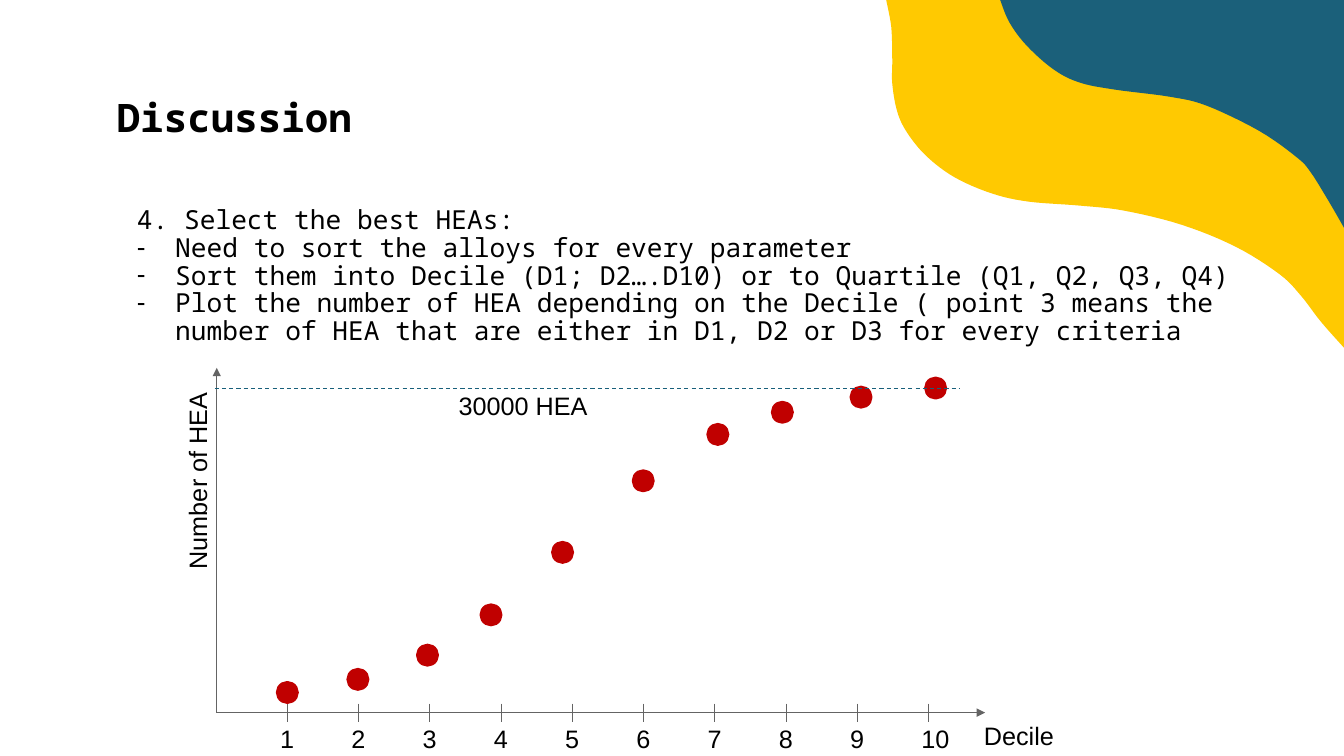
from dataclasses import dataclass

from lxml import etree
from pptx import Presentation
from pptx.dml.color import RGBColor
from pptx.enum.dml import MSO_LINE
from pptx.enum.shapes import MSO_CONNECTOR, MSO_SHAPE
from pptx.enum.text import MSO_ANCHOR, MSO_AUTO_SIZE, PP_ALIGN
from pptx.oxml.ns import qn
from pptx.util import Pt

PIXEL = 9144  # EMU, 100 px to the inch
TITLE_ONLY_LAYOUT = 5
STRAIGHT = MSO_CONNECTOR.STRAIGHT
OVAL = MSO_SHAPE.OVAL
DASH = MSO_LINE.DASH
MIDDLE, TOP = MSO_ANCHOR.MIDDLE, MSO_ANCHOR.TOP
LEFT = PP_ALIGN.LEFT
FIXED_SIZE = MSO_AUTO_SIZE.NONE


@dataclass(frozen=True)
class Theme:
    yellow: str = "FFC901"
    blue: str = "1B607A"
    limit: str = "185F7A"
    axis: str = "646464"
    dot: str = "C00000"
    text: str = "000000"
    text_font: str = "Noto Sans Mono"
    label_font: str = "Arial"
    title_size: float = 28
    body_size: float = 18.7
    label_size: float = 18
    line_width: float = 0.75
    dot_line_width: float = 2


THEME = Theme()
SLIDE_WIDTH, SLIDE_HEIGHT = 1333, 750

YELLOW_EDGE = [
    (879, 0), (884, 27), (885, 59), (885, 83), (890, 111), (900, 132),
    (919, 155), (947, 176), (984, 192), (1020, 200), (1071, 204),
    (1115, 209), (1172, 223), (1226, 245), (1269, 272), (1290, 293),
    (1310, 319), (1333, 345),
]
BLUE_EDGE = [
    (992, 0), (1001, 22), (1018, 45), (1045, 69), (1071, 82), (1106, 89),
    (1160, 96), (1197, 105), (1249, 130), (1286, 156), (1300, 171),
    (1318, 200), (1333, 226),
]

HEADING = "4. Select the best HEAs:"
STEPS = [
    "Need to sort the alloys for every parameter",
    "Sort them into Decile (D1; D2….D10) or to Quartile (Q1, Q2, Q3, Q4)",
    "Plot the number of HEA depending on the Decile ( point 3 means the "
    "number of HEA that are either in D1, D2 or D3 for every criteria",
]

ORIGIN_X, ORIGIN_Y = 215, 707
FIRST_TICK, LAST_TICK = 285, 921
TICK_HALF = 9
DOT_SIZE = 20
DOT_CORNERS = [
    (275, 677), (345, 664), (414, 640), (477, 600), (548, 538),
    (628, 467), (702, 421), (766, 399), (844, 384), (918, 375),
]


def px(*lengths):
    return [round(length * PIXEL) for length in lengths]


def color(name):
    return RGBColor.from_string(name)


def smooth_curve(points, steps=6):
    """Sample a Catmull-Rom curve that passes through all the points."""
    padded = [points[0], *points, points[-1]]
    curve = [points[0]]
    for a, b, c, d in zip(padded, padded[1:], padded[2:], padded[3:]):
        for step in range(1, steps + 1):
            t = step / steps
            curve.append(tuple(
                (2 * q + (r - p) * t + (2 * p - 5 * q + 4 * r - s) * t ** 2
                 + (3 * q - p - 3 * r + s) * t ** 3) / 2
                for p, q, r, s in zip(a, b, c, d)))
    return curve


def add_wave(slide, edge, fill):
    """Fill the top right corner of the slide up to a curved edge."""
    start, *rest = [px(*point) for point in smooth_curve(edge)]
    builder = slide.shapes.build_freeform(*start, scale=1.0)
    builder.add_line_segments([*rest, px(SLIDE_WIDTH, 0)], close=True)
    wave = builder.convert_to_shape()
    wave.shadow.inherit = False
    wave.fill.solid()
    wave.fill.fore_color.rgb = color(fill)
    wave.line.fill.background()


def add_line(slide, start, end, line_color, arrow=False, dash=None):
    connector = slide.shapes.add_connector(STRAIGHT, *px(*start, *end))
    connector.line.color.rgb = color(line_color)
    connector.line.width = Pt(THEME.line_width)
    if dash is not None:
        connector.line.dash_style = dash
    if arrow:
        line = connector.line._get_or_add_ln()
        etree.SubElement(line, qn("a:tailEnd"), type="triangle")
    etree.SubElement(connector._element.spPr, qn("a:effectLst"))


def add_dot(slide, left, top):
    dot = slide.shapes.add_shape(OVAL, *px(left, top, DOT_SIZE, DOT_SIZE))
    dot.shadow.inherit = False
    dot.fill.solid()
    dot.fill.fore_color.rgb = color(THEME.dot)
    dot.line.color.rgb = color(THEME.dot)
    dot.line.width = Pt(THEME.dot_line_width)


def format_runs(paragraph, font, size, bold=False):
    for run in paragraph.runs:
        run.font.name = font
        run.font.size = Pt(size)
        run.font.bold = bold
        run.font.color.rgb = color(THEME.text)


def set_frame(text_frame, anchor, margin_x, margin_y):
    text_frame.word_wrap = True
    text_frame.auto_size = FIXED_SIZE
    text_frame.vertical_anchor = anchor
    text_frame.margin_left, text_frame.margin_right = px(margin_x, margin_x)
    text_frame.margin_top, text_frame.margin_bottom = px(margin_y, margin_y)


def add_label(slide, text, left, top, width, rotation=0):
    label = slide.shapes.add_textbox(*px(left, top, width, 40))
    label.rotation = rotation
    set_frame(label.text_frame, TOP, 10, 5)
    label.text_frame.text = text
    format_runs(label.text_frame.paragraphs[0], THEME.label_font, THEME.label_size)


def set_title(slide, text):
    title = slide.shapes.title
    title.left, title.top, title.width, title.height = px(106, 79, 1123, 73)
    set_frame(title.text_frame, MIDDLE, 10, 10)
    title.text_frame.text = text
    paragraph = title.text_frame.paragraphs[0]
    paragraph.alignment = LEFT
    format_runs(paragraph, THEME.text_font, THEME.title_size, bold=True)


def set_indent(paragraph, margin, indent):
    properties = paragraph._p.get_or_add_pPr()
    margin, indent = px(margin, indent)
    properties.set("marL", str(margin))
    properties.set("indent", str(indent))
    return properties


def add_bullet(paragraph):
    properties = set_indent(paragraph, 58, -38)
    bullet_color = etree.SubElement(properties, qn("a:buClr"))
    etree.SubElement(bullet_color, qn("a:srgbClr"), val=THEME.text)
    etree.SubElement(properties, qn("a:buFont"), typeface=THEME.label_font)
    etree.SubElement(properties, qn("a:buChar"), char="-")


def add_steps(slide):
    body = slide.shapes.add_textbox(*px(106, 196, 1123, 56))
    set_frame(body.text_frame, TOP, 10, 10)
    body.text_frame.text = "\n".join([HEADING, *STEPS])
    heading, *steps = body.text_frame.paragraphs
    for paragraph in (heading, *steps):
        paragraph.line_spacing = 0.88
        format_runs(paragraph, THEME.text_font, THEME.body_size)
    set_indent(heading, 20, 0)
    for paragraph in steps:
        add_bullet(paragraph)


def add_plot(slide):
    origin = (ORIGIN_X, ORIGIN_Y)
    add_line(slide, origin, (ORIGIN_X, 365), THEME.axis, arrow=True)
    add_line(slide, origin, (977, ORIGIN_Y), THEME.axis, arrow=True)
    tick_gap = (LAST_TICK - FIRST_TICK) / (len(DOT_CORNERS) - 1)
    for index, corner in enumerate(DOT_CORNERS):
        tick = FIRST_TICK + index * tick_gap
        add_line(slide, (tick, ORIGIN_Y - TICK_HALF),
                 (tick, ORIGIN_Y + TICK_HALF), THEME.axis)
        decile = str(index + 1)
        add_label(slide, decile, tick - 17, 713, 22 if len(decile) == 1 else 67)
        add_dot(slide, *corner)
    add_label(slide, "Decile", 966, 710, 209)
    add_label(slide, "Number of HEA", 91, 450, 209, rotation=270)
    add_line(slide, (213, 385), (952, 385), THEME.limit, dash=DASH)
    add_label(slide, "30000 HEA", 445, 382, 159)


def main():
    presentation = Presentation()
    presentation.slide_width, presentation.slide_height = px(SLIDE_WIDTH, SLIDE_HEIGHT)
    slide = presentation.slides.add_slide(presentation.slide_layouts[TITLE_ONLY_LAYOUT])
    add_wave(slide, YELLOW_EDGE, THEME.yellow)
    add_wave(slide, BLUE_EDGE, THEME.blue)
    set_title(slide, "Discussion")
    add_steps(slide)
    add_plot(slide)
    presentation.save("out.pptx")


if __name__ == "__main__":
    main()
